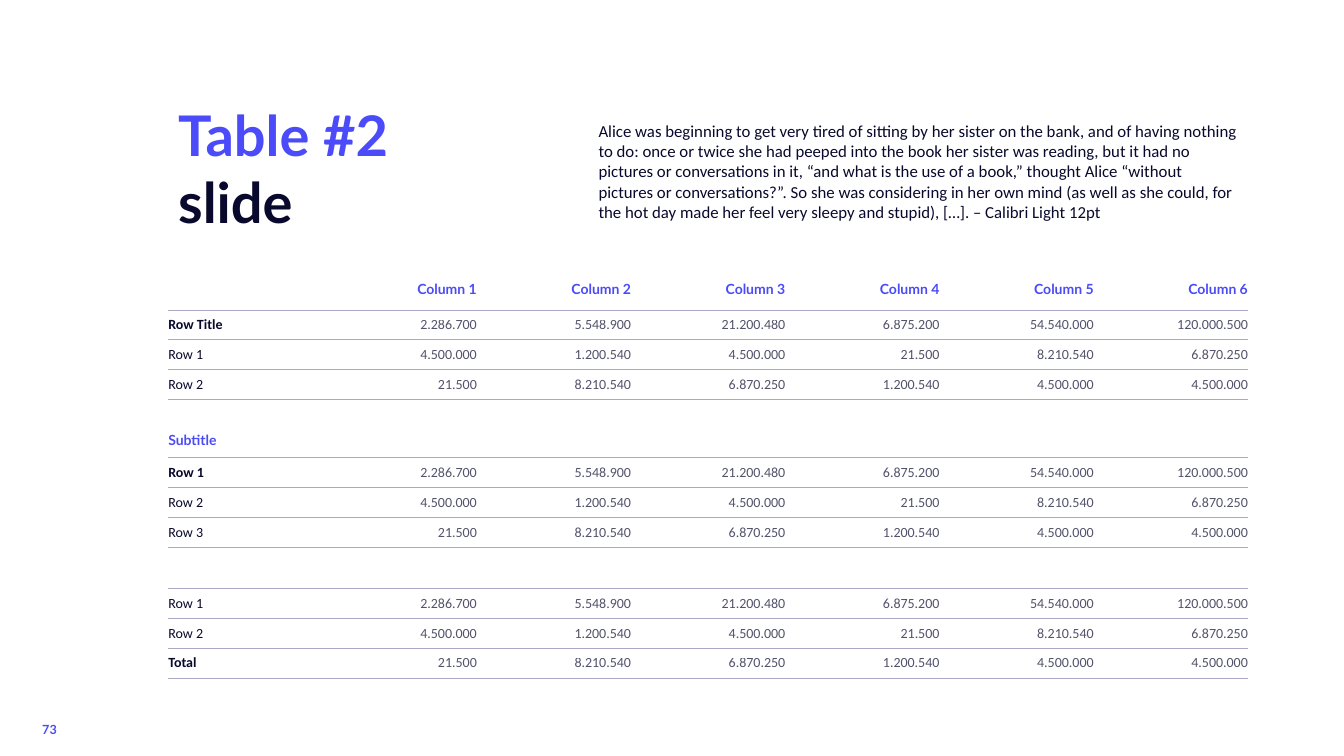
from dataclasses import dataclass

from lxml.etree import SubElement
from pptx import Presentation
from pptx.dml.color import RGBColor
from pptx.enum.text import MSO_ANCHOR, PP_ALIGN
from pptx.oxml.ns import qn
from pptx.util import Pt


@dataclass(frozen=True)
class Theme:
    accent: str = "4B4BF9"
    ink: str = "09092D"
    table_ink: str = "09092C"
    rule: str = "A9A9C6"
    heading_font: str = "Lato"
    body_font: str = "Calibri"
    title_size: float = 40
    body_size: float = 12
    table_size: float = 10
    page_number_size: float = 9
    rule_width: float = 0.5
    value_opacity: int = 70


LEFT = 120.24
COLUMN_WIDTH = 110.16
COLUMN_COUNT = 7
ROW_HEIGHT = 21.3
LABEL_WIDTH = 46.1
LABEL_HEIGHT = 12

BODY = (
    "Alice was beginning to get very tired of sitting by her sister on the bank, "
    "and of having nothing to do: once or twice she had peeped into the book her "
    "sister was reading, but it had no pictures or conversations in it, “and what "
    "is the use of a book,” thought Alice “without pictures or conversations?”. "
    "So she was considering in her own mind (as well as she could, for the hot day "
    "made her feel very sleepy and stupid), […]. – Calibri Light 12pt"
)
VALUES = [
    ["2.286.700", "5.548.900", "21.200.480", "6.875.200", "54.540.000", "120.000.500"],
    ["4.500.000", "1.200.540", "4.500.000", "21.500", "8.210.540", "6.870.250"],
    ["21.500", "8.210.540", "6.870.250", "1.200.540", "4.500.000", "4.500.000"],
]
# Top edge, row titles and the title set in bold
TABLES = [
    (221.4, ["Row Title", "Row 1", "Row 2"], "Row Title"),
    (327, ["Row 1", "Row 2", "Row 3"], "Row 1"),
    (420.5, ["Row 1", "Row 2", "Total"], "Total"),
]


class SlideBuilder:
    def __init__(self, page, theme):
        self.page = page
        self.theme = theme

    def style(self, span, font, size, color, bold=False):
        span.font.name = font
        span.font.size = Pt(size)
        span.font.bold = bold
        span.font.color.rgb = RGBColor.from_string(color)

    def text_box(self, left, top, width, height, inset=(0, 0), wrap=True):
        """Add an empty box; inset is (horizontal, vertical)."""
        box = self.page.shapes.add_textbox(Pt(left), Pt(top), Pt(width), Pt(height))
        frame = box.text_frame
        frame.word_wrap = wrap
        frame.margin_left = frame.margin_right = Pt(inset[0])
        frame.margin_top = frame.margin_bottom = Pt(inset[1])
        return frame

    def title(self, first_line, second_line):
        theme = self.theme
        frame = self.text_box(LEFT, 68.4, 280.8, 104.4, (7.2, 3.6))
        para = frame.paragraphs[0]
        para.text = f"{first_line}\v{second_line}"
        for span, color in zip(para.runs, (theme.accent, theme.ink)):
            self.style(span, theme.heading_font, theme.title_size, color, True)

    def body(self, text):
        theme = self.theme
        frame = self.text_box(420.5, 82.8, 470.9, 80.5, (7.2, 3.6))
        frame.text = text
        self.style(frame.paragraphs[0].runs[0], theme.body_font, theme.body_size, theme.ink)

    def label(self, text, left, top, align=PP_ALIGN.LEFT):
        theme = self.theme
        frame = self.text_box(left, top, LABEL_WIDTH, LABEL_HEIGHT, wrap=False)
        frame.text = text
        para = frame.paragraphs[0]
        para.alignment = align
        self.style(para.runs[0], theme.heading_font, theme.table_size, theme.accent, True)

    def page_number(self, text):
        theme = self.theme
        frame = self.text_box(26.6, 513.4, 28.8, 17.3, (3.6, 3.6))
        frame.text = text
        para = frame.paragraphs[0]
        para.line_spacing = 0.9
        self.style(para.runs[0], theme.heading_font, theme.page_number_size,
                   theme.accent, True)

    def cell_borders(self, cell):
        """Rule the top and bottom edges and leave the sides open."""
        properties = cell._tc.get_or_add_tcPr()
        for side in ("lnL", "lnR", "lnT", "lnB"):
            line = SubElement(properties, qn(f"a:{side}"))
            if side in ("lnL", "lnR"):
                SubElement(line, qn("a:noFill"))
                continue
            line.set("w", str(Pt(self.theme.rule_width)))
            fill = SubElement(line, qn("a:solidFill"))
            SubElement(fill, qn("a:srgbClr"), val=self.theme.rule)

    def cell(self, cell, text, is_value, bold):
        theme = self.theme
        cell.margin_left = cell.margin_right = cell.margin_top = cell.margin_bottom = 0
        cell.vertical_anchor = MSO_ANCHOR.MIDDLE
        self.cell_borders(cell)
        cell.fill.background()
        cell.text_frame.text = text
        para = cell.text_frame.paragraphs[0]
        span = para.runs[0]
        self.style(span, theme.body_font, theme.table_size, theme.table_ink, bold)
        if is_value:
            para.alignment = PP_ALIGN.RIGHT
            color = span._r.rPr.find(f".//{qn('a:srgbClr')}")
            SubElement(color, qn("a:alpha"), val=str(theme.value_opacity * 1000))

    def table(self, top, row_titles, bold_title):
        rows = [[title, *values] for title, values in zip(row_titles, VALUES)]
        table = self.page.shapes.add_table(
            len(rows), COLUMN_COUNT, Pt(LEFT), Pt(top),
            Pt(COLUMN_WIDTH * COLUMN_COUNT), Pt(ROW_HEIGHT * len(rows))).table
        table.first_row = table.horz_banding = False
        for column in table.columns:
            column.width = Pt(COLUMN_WIDTH)
        for row_index, texts in enumerate(rows):
            table.rows[row_index].height = Pt(ROW_HEIGHT)
            for column_index, text in enumerate(texts):
                self.cell(table.cell(row_index, column_index), text,
                          column_index > 0, text == bold_title)


def main():
    deck = Presentation()
    deck.slide_width, deck.slide_height = Pt(960), Pt(540)
    page = deck.slides.add_slide(deck.slide_layouts[6])
    builder = SlideBuilder(page, Theme())
    builder.page_number("73")
    builder.body(BODY)
    builder.title("Table #2", "slide")
    for number in range(1, COLUMN_COUNT):
        right = LEFT + COLUMN_WIDTH * (number + 1)
        builder.label(f"Column {number}", right - LABEL_WIDTH, 200.2, PP_ALIGN.RIGHT)
    builder.label("Subtitle", LEFT, 308.2)
    for top, row_titles, bold_title in TABLES:
        builder.table(top, row_titles, bold_title)
    deck.save("out.pptx")


if __name__ == "__main__":
    main()
